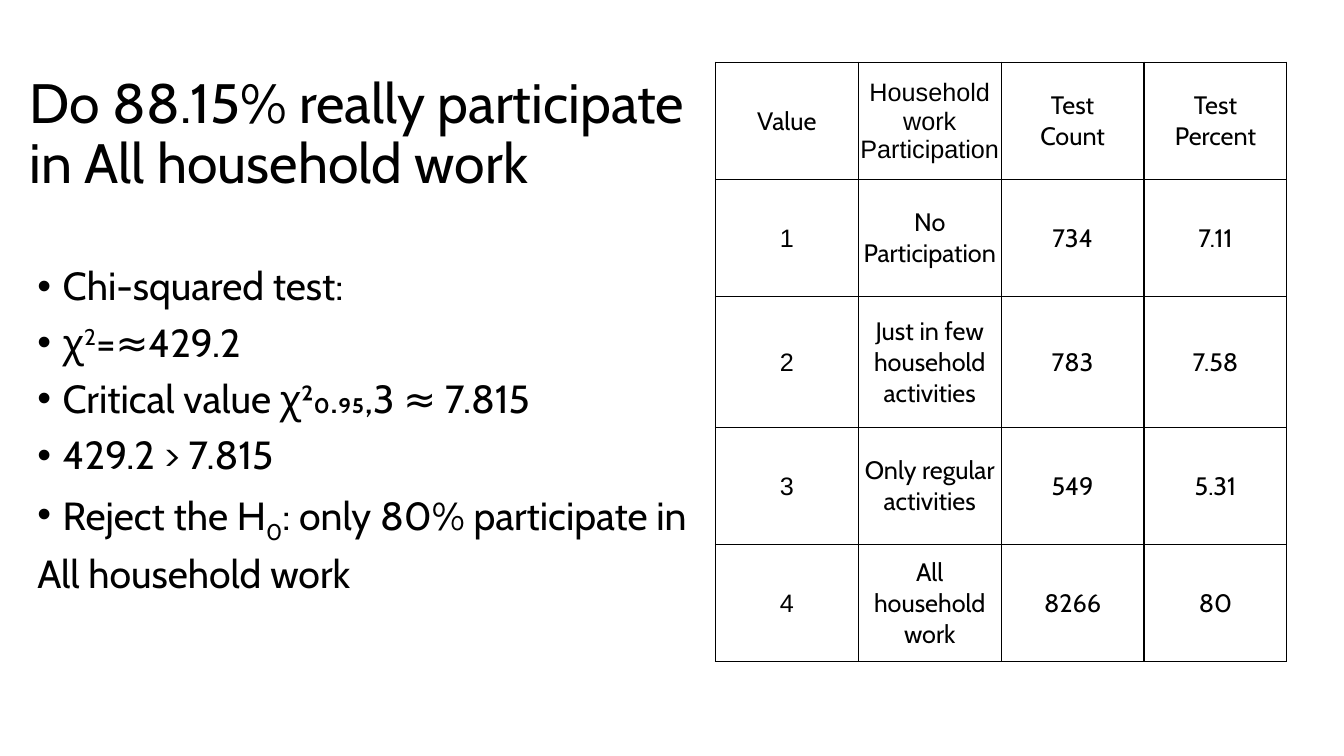
from dataclasses import dataclass

import pptx
import pptx.dml.color
import pptx.enum.text
import pptx.util
from lxml import etree
from pptx.oxml.ns import qn
from pptx.util import Cm

INK = {"text": "000000", "line": "000000"}
MID = pptx.enum.text.MSO_ANCHOR.MIDDLE
CENTER = pptx.enum.text.PP_ALIGN.CENTER


@dataclass
class Run:
    text: str
    base: int = 0


@dataclass
class Line:
    runs: list[Run]
    dot: bool = True


POINTS = [
    Line([Run("Chi-squared test:")]),
    Line([Run("χ"), Run("2", 30), Run("=≈429.2")]),
    Line([Run("Critical value χ²₀.₉₅,3 ≈ 7.815")]),
    Line([Run("429.2 > 7.815")]),
    Line([Run("Reject the H"), Run("0", -25), Run(": only 80% participate in")]),
    Line([Run("All household work")], dot=False),
]
ROWS = [
    ("Value", "Household work Participation", "Test\nCount", "Test\nPercent"),
    ("1", "No Participation", "734", "7.11"),
    ("2", "Just in few household activities", "783", "7.58"),
    ("3", "Only regular activities", "549", "5.31"),
    ("4", "All household work", "8266", "80"),
]
TALL = [2.95, 2.95, 3.3, 2.95, 2.95]


def write(para, text: str, size: float, font: str = "Cabin", base: int = 0) -> None:
    run = para.add_run()
    run.text = text
    run.font.size = pptx.util.Pt(size)
    run.font.name = font
    run.font.color.rgb = pptx.dml.color.RGBColor.from_string(INK["text"])
    if base:
        run._r.get_or_add_rPr().set("baseline", str(base * 1000))


def add_box(slide, left: float, top: float, width: float, height: float):
    box = slide.shapes.add_textbox(Cm(left), Cm(top), Cm(width), Cm(height))
    box.text_frame.word_wrap = True
    return box.text_frame


def add_dot(para) -> None:
    props = para._p.get_or_add_pPr()
    props.set("marL", str(Cm(0.64)))
    props.set("indent", str(-Cm(0.64)))
    etree.SubElement(props, qn("a:buFont"), typeface="Arial")
    etree.SubElement(props, qn("a:buChar"), char="•")


def add_edges(cell) -> None:
    props = cell._tc.get_or_add_tcPr()
    for spot, side in enumerate(("L", "R", "T", "B")):
        edge = etree.Element(qn(f"a:ln{side}"), w=str(pptx.util.Pt(1)))
        fill = etree.SubElement(edge, qn("a:solidFill"))
        etree.SubElement(fill, qn("a:srgbClr"), val=INK["line"])
        props.insert(spot, edge)


def fill_cell(cell, text: str, font: str) -> None:
    cell.fill.background()
    cell.vertical_anchor = MID
    cell.margin_left = cell.margin_right = cell.margin_top = Cm(0.02)
    cell.margin_bottom = 0
    frame = cell.text_frame
    for spot, part in enumerate(text.split("\n")):
        para = frame.add_paragraph() if spot else frame.paragraphs[0]
        para.alignment = CENTER
        write(para, part, 18, font=font)
    add_edges(cell)


def main() -> None:
    deck = pptx.Presentation()
    deck.slide_width, deck.slide_height = Cm(33.87), Cm(19.05)
    slide = deck.slides.add_slide(deck.slide_layouts[6])

    # Title
    frame = add_box(slide, 0.5, 1.57, 17.5, 3.68)
    frame.vertical_anchor = MID
    frame.paragraphs[0].line_spacing = 0.9
    write(frame.paragraphs[0], "Do 88.15% really participate in All household work", 39.6)

    # Table of counts
    grid = slide.shapes.add_table(
        len(ROWS), len(ROWS[0]), Cm(18.03), Cm(1.57), Cm(14.4), Cm(sum(TALL))
    ).table
    for col in grid.columns:
        col.width = Cm(3.6)
    for r, (row, tall) in enumerate(zip(ROWS, TALL)):
        grid.rows[r].height = Cm(tall)
        for c, text in enumerate(row):
            # Row numbers and the second heading are in Arial
            plain = (r > 0 and c == 0) or (r == 0 and c == 1)
            fill_cell(grid.cell(r, c), text, "Arial" if plain else "Cabin")

    # Test steps
    frame = add_box(slide, 0.69, 6.6, 17.3, 9.5)
    for spot, line in enumerate(POINTS):
        para = frame.add_paragraph() if spot else frame.paragraphs[0]
        para.line_spacing = 0.9
        if spot:
            para.space_before = pptx.util.Pt(10)
        if line.dot:
            add_dot(para)
        for run in line.runs:
            write(para, run.text, 28, base=run.base)

    deck.save("out.pptx")


if __name__ == "__main__":
    main()
